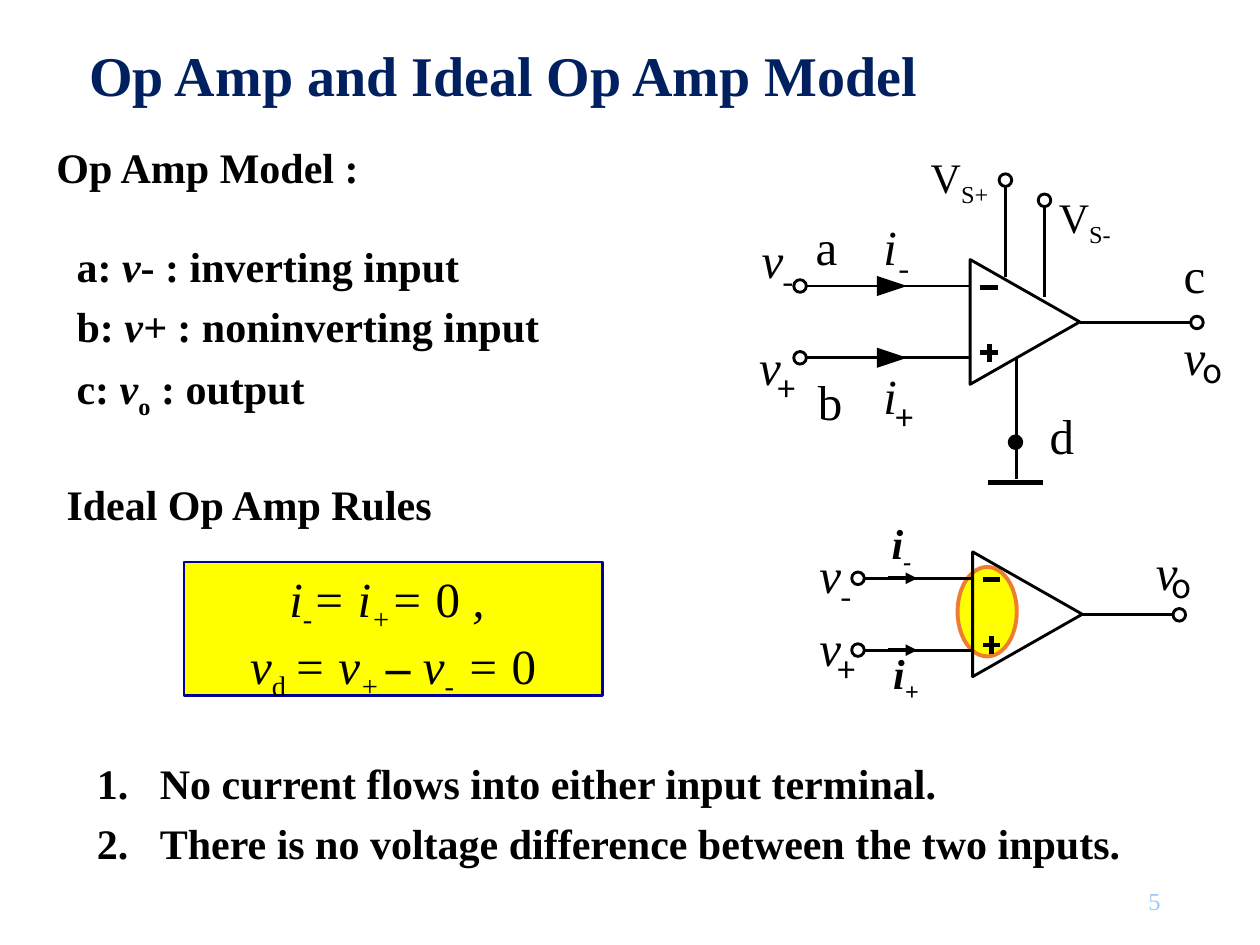
from lxml import etree
from pptx import Presentation
from pptx.dml.color import RGBColor
from pptx.enum.shapes import MSO_CONNECTOR, MSO_SHAPE
from pptx.enum.text import MSO_ANCHOR, PP_ALIGN
from pptx.oxml.ns import qn
from pptx.util import Inches, Pt

BLACK = RGBColor(0x00, 0x00, 0x00)
WHITE = RGBColor(0xFF, 0xFF, 0xFF)
NAVY = RGBColor(0x00, 0x20, 0x60)
BLUE = RGBColor(0x00, 0x00, 0x99)
PALE_BLUE = RGBColor(0x99, 0xCC, 0xFF)
YELLOW = RGBColor(0xFF, 0xFF, 0x00)
ORANGE = RGBColor(0xED, 0x7D, 0x31)
SERIF = "Times New Roman"
SANS = "Noto Sans CJK SC"
LEFT, CENTER, RIGHT = PP_ALIGN.LEFT, PP_ALIGN.CENTER, PP_ALIGN.RIGHT
TOP, MIDDLE = MSO_ANCHOR.TOP, MSO_ANCHOR.MIDDLE
STRAIGHT = MSO_CONNECTOR.STRAIGHT
OVAL, RECTANGLE = MSO_SHAPE.OVAL, MSO_SHAPE.RECTANGLE
WIRE, THICK = 1.63, 2.75
INPUT_HEIGHTS = (0.21, 0.78)
OUTPUT_HEIGHT = 0.5
NODE_RADIUS = 0.05


def add_run(paragraph, text, style, size, font_name, color):
    """Add a run; style letters are b bold, i italic, s subscript."""
    run = paragraph.add_run()
    run.text = text
    font = run.font
    font.name, font.size, font.color.rgb = font_name, Pt(size), color
    font.bold, font.italic = "b" in style, "i" in style
    if "s" in style:
        run._r.get_or_add_rPr().set("baseline", "-25000")


def write_text(shape, lines, size, font_name=SERIF, color=BLACK, align=LEFT,
               anchor=TOP, spacing=None, wrap=True, inset=None, numbered=False):
    """Fill a shape with paragraphs given as lists of (text, style) runs."""
    frame = shape.text_frame
    frame.word_wrap, frame.vertical_anchor = wrap, anchor
    if inset is not None:
        frame.margin_left = frame.margin_right = Inches(inset)
        frame.margin_top = frame.margin_bottom = Inches(inset)
    for index, runs in enumerate(lines):
        paragraph = frame.add_paragraph() if index else frame.paragraphs[0]
        paragraph.alignment = align
        if spacing:
            paragraph.line_spacing = spacing
        if numbered:
            properties = paragraph._p.get_or_add_pPr()
            properties.set("marL", str(Inches(0.5)))
            properties.set("indent", str(Inches(-0.5)))
            etree.SubElement(properties, qn("a:buFont"), typeface="+mj-lt")
            etree.SubElement(properties, qn("a:buAutoNum"), type="arabicPeriod")
        for text, style in runs:
            if text == "\n":
                paragraph.add_line_break()
            else:
                add_run(paragraph, text, style, size, font_name, color)


def add_text(slide, left, top, width, height, lines, size, **options):
    """Place a text box."""
    box = slide.shapes.add_textbox(Inches(left), Inches(top), Inches(width), Inches(height))
    write_text(box, lines, size, **options)


def style_shape(shape, fill=None, line=None, weight=WIRE):
    """Give a shape its fill and outline, without shadow."""
    shape.shadow.inherit = False
    if fill is None:
        shape.fill.background()
    else:
        shape.fill.solid()
        shape.fill.fore_color.rgb = fill
    if line is None:
        shape.line.fill.background()
    else:
        shape.line.color.rgb, shape.line.width = line, Pt(weight)


def add_shape(slide, kind, left, top, width, height, **style):
    """Place a styled preset shape."""
    shape = slide.shapes.add_shape(kind, Inches(left), Inches(top), Inches(width), Inches(height))
    style_shape(shape, **style)
    return shape


def add_line(slide, x1, y1, x2, y2, weight=WIRE, arrow=False):
    """Draw a straight black line, optionally with an arrowhead."""
    line = slide.shapes.add_connector(STRAIGHT, Inches(x1), Inches(y1), Inches(x2), Inches(y2))
    line.line.color.rgb, line.line.width = BLACK, Pt(weight)
    if arrow:
        etree.SubElement(line.line._get_or_add_ln(), qn("a:tailEnd"), type="triangle")
    etree.SubElement(line._element.spPr, qn("a:effectLst"))


def add_triangle(slide, left, top, width, height, **style):
    """Draw a triangle pointing right."""
    builder = slide.shapes.build_freeform(Inches(left), Inches(top))
    builder.add_line_segments([(Inches(left + width), Inches(top + height / 2)),
                               (Inches(left), Inches(top + height))], close=True)
    style_shape(builder.convert_to_shape(), **style)


def add_node(slide, x, y, fill=WHITE):
    """Draw a terminal circle centred on a point."""
    size = 2 * NODE_RADIUS
    add_shape(slide, OVAL, x - NODE_RADIUS, y - NODE_RADIUS, size, size, fill=fill, line=BLACK)


def add_label(slide, left, top, letter, style="i", subscript=None, offset=(0.15, 0.25)):
    """Place a circuit letter and its subscript."""
    options = dict(align=CENTER, wrap=False, inset=0)
    width = 0.11 if letter == "i" else 0.18
    add_text(slide, left, top, width, 0.47, [[(letter, style)]], 28, **options)
    if subscript:
        add_text(slide, left + offset[0], top + offset[1], 0.13, 0.32,
                 [[(subscript, "")]], 19, font_name=SANS, **options)


def draw_amplifier(slide, left, top, input_lead, output_reach):
    """Draw the amplifier triangle, its signs, leads and terminals."""
    add_triangle(slide, left, top, 0.87, 0.99, line=BLACK)
    minus_y, plus_x, plus_y, arm = top + 0.22, left + 0.15, top + 0.74, 0.07
    add_line(slide, plus_x - arm, minus_y, plus_x + arm, minus_y, THICK)
    add_line(slide, plus_x - arm, plus_y, plus_x + arm, plus_y, THICK)
    add_line(slide, plus_x, plus_y - arm, plus_x, plus_y + arm, THICK)
    for height in INPUT_HEIGHTS:
        add_line(slide, left - input_lead + NODE_RADIUS, top + height, left, top + height)
        add_node(slide, left - input_lead, top + height)
    output_y = top + OUTPUT_HEIGHT
    add_line(slide, left + 0.87, output_y, left + output_reach - NODE_RADIUS, output_y)
    add_node(slide, left + output_reach, output_y)


def draw_op_amp_model(slide, left, top):
    """Draw the five-terminal model with supplies and ground."""
    amplifier_top = top + 1.06
    draw_amplifier(slide, left + 1.7, amplifier_top, 1.35, 1.8)
    for height in INPUT_HEIGHTS:
        add_triangle(slide, left + 0.96, amplifier_top + height - 0.08, 0.24, 0.16, fill=BLACK)
    for x, y in ((1.98, 0.43), (2.29, 0.59)):
        add_line(slide, left + x, top + y + NODE_RADIUS, left + x, top + y + 0.77)
        add_node(slide, left + x, top + y)
    add_line(slide, left + 2.07, top + 1.84, left + 2.07, top + 2.8)
    add_line(slide, left + 1.84, top + 2.83, left + 2.28, top + 2.83, THICK)
    add_node(slide, left + 2.06, top + 2.51, BLACK)
    for x, y, letter in ((0.47, 0.72, "a"), (0.49, 1.95, "b"), (3.39, 0.94, "c"), (2.33, 2.22, "d")):
        add_label(slide, left + x, top + y, letter, "")
    add_label(slide, left + 0.04, top + 0.82, "v", subscript="-")
    add_label(slide, left + 0.02, top + 1.67, "v", subscript="+")
    add_label(slide, left + 1.01, top + 0.72, "i", subscript="-", offset=(0.1, 0.25))
    add_label(slide, left + 1.01, top + 1.9, "i", subscript="+", offset=(0.1, 0.25))
    add_label(slide, left + 3.39, top + 1.59, "v", subscript="o", offset=(0.15, 0.19))
    for x, y, width, supply in ((1.27, 0.15, 0.69, "S+"), (2.29, 0.47, 0.64, "S-")):
        add_text(slide, left + x, top + y, width, 0.5, [[("V", ""), (supply, "s")]], 24,
                 align=CENTER, wrap=False)


def draw_ideal_model(slide, left, top):
    """Draw the ideal model with its highlighted input pair."""
    add_shape(slide, OVAL, left + 1.1, top + 0.5, 0.47, 0.71, fill=YELLOW, line=ORANGE, weight=2.25)
    amplifier_top = top + 0.38
    draw_amplifier(slide, left + 1.22, amplifier_top, 0.91, 1.64)
    for height in INPUT_HEIGHTS:
        y = amplifier_top + height
        add_line(slide, left + 0.55, y, left + 0.78, y, 2.25, arrow=True)
    add_label(slide, left + 2.67, top + 0.3, "v", subscript="o", offset=(0.13, 0.19))
    add_label(slide, left, top + 0.32, "v", subscript="-")
    add_label(slide, left, top + 0.9, "v", subscript="+")
    for x, y, width, sign in ((0.47, 0.06, 0.37, "-"), (0.48, 1.09, 0.42, "+")):
        add_text(slide, left + x, top + y, width, 0.5, [[("i", "bi"), (sign, "bis")]], 24,
                 align=CENTER, wrap=False)


def draw_terminal_list(slide, left, top, width, height):
    """List the terminals of the model."""
    add_text(slide, left, top, width, height, [
        [("a: ", "b"), ("v", "bi"), ("- : inverting input", "b")],
        [("b: ", "b"), ("v+", "bi"), (" : noninverting input", "b")],
        [("c: ", "b"), ("v", "bi"), ("o", "bs"), (" : output", "b")]], 24, spacing=1.2)


def draw_formula(slide, left, top, width, height):
    """Show the ideal equations in a framed box."""
    box = add_shape(slide, RECTANGLE, left, top, width, height, fill=YELLOW, line=BLUE, weight=1.5)
    write_text(box, [[
        ("i", "i"), ("-", "is"), ("= i", "i"), ("+", "is"), ("= ", "i"), ("0", ""), (" , ", "i"),
        ("\n", ""), ("v", "i"), ("d ", "s"), ("= v", "i"), ("+ ", "is"), ("–", "bi"),
        (" v", "i"), ("-", "is"), (" = ", "i"), ("0", "")]], 28, align=CENTER)


def draw_rules(slide, left, top, width, height):
    """List the two numbered rules."""
    box = add_shape(slide, RECTANGLE, left, top, width, height, fill=WHITE)
    write_text(box, [[("No current flows into either input terminal.", "b")],
                     [("There is no voltage difference between the two inputs.", "b")]],
               24, spacing=1.2, numbered=True)


def main():
    """Build and save the slide."""
    presentation = Presentation()
    presentation.slide_width, presentation.slide_height = Inches(10), Inches(7.5)
    slide = presentation.slides.add_slide(presentation.slide_layouts[6])
    add_text(slide, 0.61, 0.15, 8.62, 0.94, [[("Op Amp and Ideal Op Amp Model", "b")]], 32,
             color=NAVY, anchor=MIDDLE, spacing=0.9)
    draw_op_amp_model(slide, 6, 1)
    for left, top, heading in ((0.35, 0.99, "Op Amp Model :"), (0.43, 3.67, "Ideal Op Amp Rules")):
        add_text(slide, left, top, 4.94, 0.59, [[(heading, "b")]], 24, spacing=1.2)
    draw_terminal_list(slide, 0.51, 1.78, 4.94, 1.56)
    draw_rules(slide, 0.67, 5.88, 8.51, 1.07)
    draw_formula(slide, 1.46, 4.46, 3.32, 1.06)
    draw_ideal_model(slide, 6.5, 4)
    add_text(slide, 7.06, 6.95, 2.25, 0.4, [[("5", "")]], 14, color=PALE_BLUE,
             align=RIGHT, anchor=MIDDLE)
    presentation.save("out.pptx")


if __name__ == "__main__":
    main()
